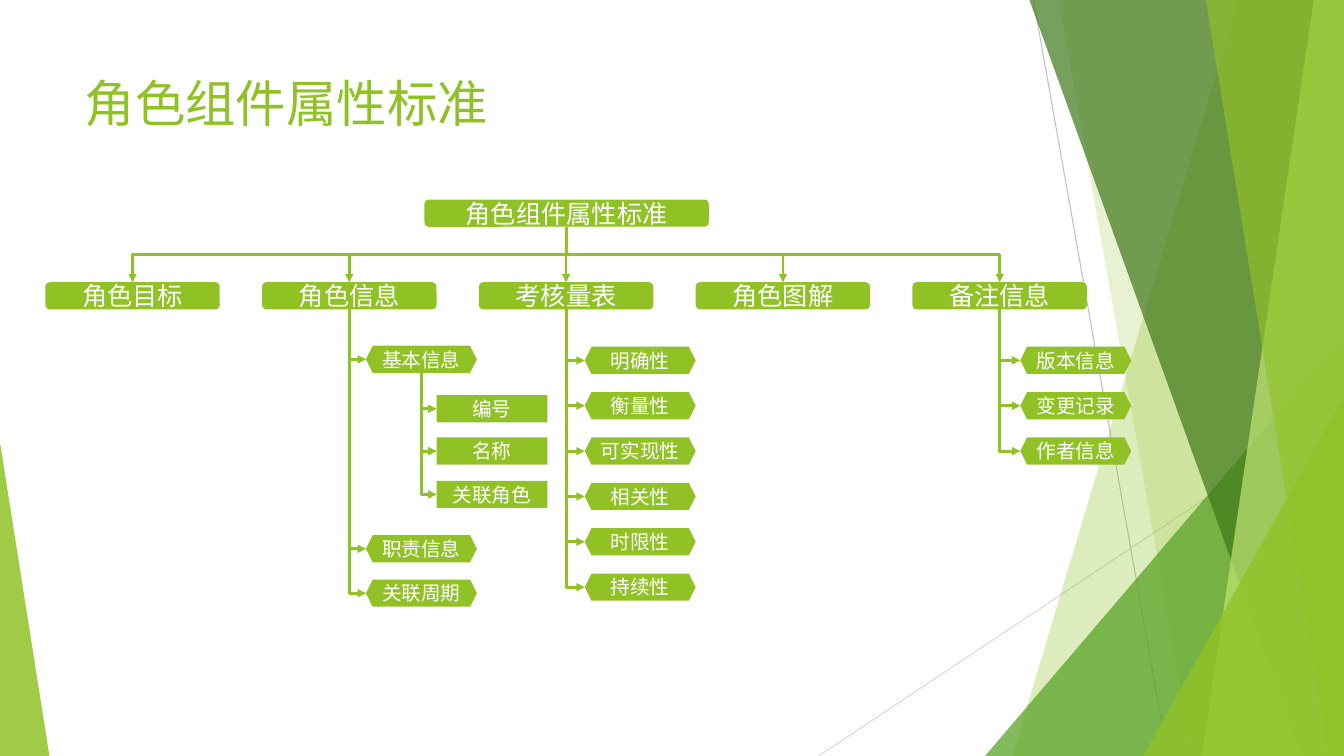
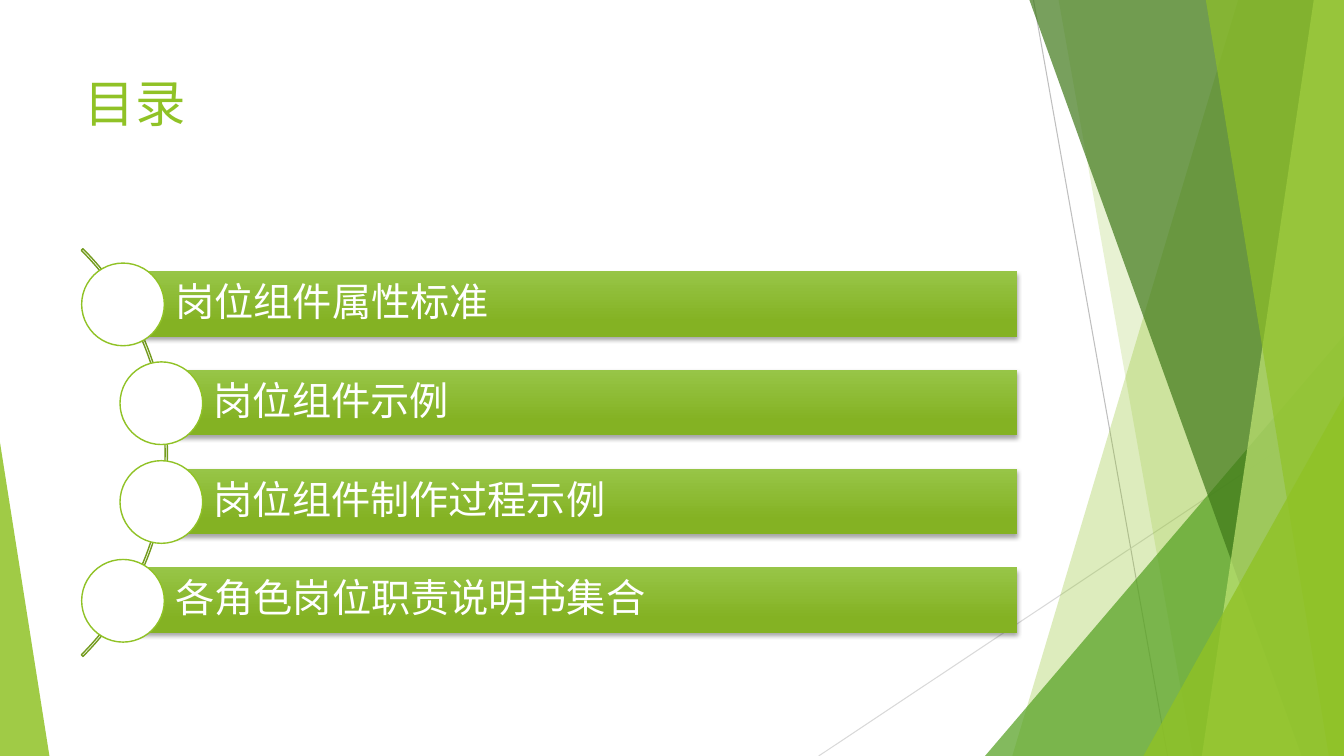
from dataclasses import dataclass

from lxml.etree import SubElement
from pptx import Presentation
from pptx.dml.color import RGBColor
from pptx.enum.shapes import MSO_CONNECTOR, MSO_SHAPE
from pptx.enum.text import MSO_ANCHOR, PP_ALIGN
from pptx.oxml.ns import qn
from pptx.util import Inches, Pt


@dataclass(frozen=True)
class Theme:
    font: str = "Karla"
    lime: str = "90C226"
    leaf: str = "54A021"
    pine: str = "3F7819"
    pale: str = "C0E474"
    olive: str = "739B1E"
    light: str = "97C547"
    deep: str = "84B223"
    white: str = "FFFFFF"
    black: str = "000000"
    grey: str = "BFBFBF"
    mist: str = "D9D9D9"
    title: int = 36
    entry: int = 28
    head: int = 18
    label: int = 14


THEME = Theme()
WIDE, HIGH = 13.33, 7.5
TITLE_ONLY = 5


def rgb(code):
    return RGBColor.from_string(code)


class Deck:
    """Holds the theme, the presentation and the slide being drawn."""

    def __init__(self, theme):
        self.theme = theme
        self.file = Presentation()
        self.file.slide_width = Inches(WIDE)
        self.file.slide_height = Inches(HIGH)
        self.layout = self.file.slide_layouts[TITLE_ONLY]
        self.slide = None
        self.master()

    def master(self):
        title = self.layout.placeholders[0]
        title.left, title.top = Inches(0.74), Inches(0.67)
        title.width, title.height = Inches(9.4), Inches(1.44)

    def page(self, title):
        first = self.slide is None
        self.slide = self.file.slides.add_slide(self.layout)
        if first:
            self.decor()
        frame = self.slide.shapes.title.text_frame
        frame.vertical_anchor = MSO_ANCHOR.TOP
        self.label(frame, title, self.theme.title, self.theme.lime, PP_ALIGN.LEFT)

    def decor(self):
        """Draw the facets, then move them to the layout that all slides share."""
        t = self.theme
        self.line((10.25, 0), (11.58, HIGH), t.grey)
        self.line((WIDE, 4.03), (8.12, HIGH), t.mist)
        self.facet(12.28, 10.04, t.lime, 30)
        self.facet(10.5, 11.83, t.lime, 20)
        self.wedge(9.77, 3.33, 3.56, 1, t.leaf, 72)
        self.facet(10.21, 12.91, t.pine, 70)
        self.facet(13.03, 11.92, t.pale, 70)
        self.facet(11.96, 13.18, t.lime, 65)
        self.wedge(11.34, 3.93, 1.99, 1, t.lime, 80)
        self.wedge(0, 4.39, 0.49, 0, t.lime, 85)
        tree = self.layout.shapes.element
        parts = [s for s in self.slide.shapes if not s.is_placeholder]
        for n, part in enumerate(parts):
            next(part.element.iter(qn("p:cNvPr"))).set("id", str(100 + n))
            tree.insert(2 + n, part.element)

    def facet(self, top, foot, color, alpha):
        """Fill the area between a slanted edge and the right slide edge."""
        build = self.slide.shapes.build_freeform(Inches(top), 0)
        ends = [(WIDE, 0), (WIDE, HIGH), (foot, HIGH)]
        build.add_line_segments([(Inches(x), Inches(y)) for x, y in ends])
        self.paint(build.convert_to_shape(), color, alpha=alpha)

    def wedge(self, x, y, width, peak, color, alpha):
        """Draw a triangle that stands on the lower slide edge."""
        shape = self.shape(MSO_SHAPE.ISOSCELES_TRIANGLE, (x, y, width, HIGH - y))
        shape.adjustments[0] = peak
        self.paint(shape, color, alpha=alpha)

    def shape(self, kind, box):
        return self.slide.shapes.add_shape(kind, *map(Inches, box))

    def paint(self, shape, fill=None, line=None, alpha=None):
        shape.shadow.inherit = False
        if fill:
            shape.fill.solid()
            shape.fill.fore_color.rgb = rgb(fill)
        else:
            shape.fill.background()
        if alpha:
            color = shape.element.spPr.find(f".//{qn('a:srgbClr')}")
            SubElement(color, qn("a:alpha")).set("val", str(alpha * 1000))
        if line:
            shape.line.color.rgb = rgb(line)
            shape.line.width = Pt(1)
        else:
            shape.line.fill.background()

    def label(self, frame, text, size, color, align):
        frame.word_wrap = True
        par = frame.paragraphs[0]
        par.alignment = align
        run = par.add_run()
        run.text = text
        run.font.name = self.theme.font
        run.font.size = Pt(size)
        run.font.color.rgb = rgb(color)
        return par

    def inset(self, frame, left, rest):
        frame.margin_left = Inches(left)
        frame.margin_right = frame.margin_top = frame.margin_bottom = Inches(rest)
        frame.vertical_anchor = MSO_ANCHOR.MIDDLE

    def line(self, start, end, color, width=0.75, kind=MSO_CONNECTOR.STRAIGHT):
        link = self.slide.shapes.add_connector(kind, *map(Inches, start + end))
        link.line.color.rgb = rgb(color)
        link.line.width = Pt(width)
        SubElement(link.element.spPr, qn("a:effectLst"))
        return link

    def node(self, kind, box, text, size):
        shape = self.shape(kind, box)
        self.paint(shape, self.theme.lime)
        self.inset(shape.text_frame, 0, 0)
        self.label(shape.text_frame, text, size, self.theme.white, PP_ALIGN.CENTER)

    def elbow(self, start, end, preset):
        """Draw a bent arrow that leaves its start downwards."""
        (x1, y1), (x2, y2) = start, end
        wide, high = abs(x2 - x1), y2 - y1
        left, top = (x1 + x2 - high) / 2, (y1 + y2 - wide) / 2
        link = self.line((left, top), (left + high, top + wide),
                         self.theme.lime, 2, MSO_CONNECTOR.ELBOW)
        props = link.element.spPr
        props.find(qn("a:prstGeom")).set("prst", preset)
        frame = props.find(qn("a:xfrm"))
        if x2 < x1:
            frame.set("rot", "5400000")
        else:
            frame.set("rot", "16200000")
            frame.set("flipH", "1")
        SubElement(props.find(qn("a:ln")), qn("a:tailEnd")).set("type", "triangle")

    def branch(self, kind, stem, x, rows):
        """Hang labelled nodes on a stem; rows pair a top edge with a text."""
        for y, text in rows:
            self.elbow(stem, (x, y + NODE_H / 2), "bentConnector2")
            self.node(kind, (x, y, LEAF_W, NODE_H), text, self.theme.label)

    def arc(self, box):
        shape = self.shape(MSO_SHAPE.BLOCK_ARC, box)
        for n, value in enumerate((189, 27, 0.004)):
            shape.adjustments[n] = value
        self.paint(shape, line=self.theme.olive)

    def bar(self, box, text):
        t = self.theme
        shape = self.shape(MSO_SHAPE.RECTANGLE, box)
        self.paint(shape, t.lime)
        shape.fill.gradient()
        shape.fill.gradient_angle = 270
        for stop, place, color in zip(shape.fill.gradient_stops, (0, 0.78),
                                      (t.light, t.deep)):
            stop.position = place
            stop.color.rgb = rgb(color)
        glow = SubElement(shape.element.spPr.find(qn("a:effectLst")),
                          qn("a:outerShdw"), blurRad=str(Pt(3)),
                          dist=str(Pt(2)), dir="5400000", rotWithShape="0")
        shade = SubElement(glow, qn("a:srgbClr"), val=t.black)
        SubElement(shade, qn("a:alpha"), val="35000")
        self.inset(shape.text_frame, 0.52, 0.08)
        par = self.label(shape.text_frame, text, t.entry, t.white, PP_ALIGN.LEFT)
        par.line_spacing = 0.9

    def dot(self, box):
        self.paint(self.shape(MSO_SHAPE.OVAL, box), self.theme.white, self.theme.lime)


NODE_H, LEAF_W, HEAD_W = 0.27, 1.1, 1.73
ROOT_Y, HEAD_Y = 1.98, 2.8
LEAF_Y, LEAF_GAP = 3.44, 0.45


def chart(deck):
    deck.page("角色组件属性标准")
    heads = ["角色目标", "角色信息", "考核量表", "角色图解", "备注信息"]
    lefts = [0.45 + 2.15 * n for n in range(len(heads))]
    stems = [(x + HEAD_W / 2, HEAD_Y + NODE_H) for x in lefts]
    root = (stems[2][0], ROOT_Y + NODE_H)
    deck.node(MSO_SHAPE.ROUNDED_RECTANGLE, (4.21, ROOT_Y, 2.82, NODE_H),
              "角色组件属性标准", deck.theme.head)
    for x, stem, text in zip(lefts, stems, heads):
        deck.elbow(root, (stem[0], HEAD_Y), "bentConnector3")
        deck.node(MSO_SHAPE.ROUNDED_RECTANGLE, (x, HEAD_Y, HEAD_W, NODE_H),
                  text, deck.theme.head)

    info = [(3.43, "基本信息"), (5.31, "职责信息"), (5.75, "关联周期")]
    deck.branch(MSO_SHAPE.HEXAGON, stems[1], 3.63, info)
    basic = [(3.92, "编号"), (4.34, "名称"), (4.77, "关联角色")]
    deck.branch(MSO_SHAPE.RECTANGLE, (4.18, 3.43 + NODE_H), 4.33, basic)

    scale = ["明确性", "衡量性", "可实现性", "相关性", "时限性", "持续性"]
    notes = ["版本信息", "变更记录", "作者信息"]
    for stem, x, texts in ((stems[2], 5.8, scale), (stems[4], 10.12, notes)):
        rows = [(LEAF_Y + LEAF_GAP * n, text) for n, text in enumerate(texts)]
        deck.branch(MSO_SHAPE.HEXAGON, stem, x, rows)


def agenda(deck):
    deck.page("目录")
    deck.arc((-4.06, 1.63, 5.72, 5.72))
    entries = [(1.22, "岗位组件属性标准"), (1.6, "岗位组件示例"),
               (1.6, "岗位组件制作过程示例"), (1.22, "各角色岗位职责说明书集合")]
    right, size = 10.09, 0.82
    for n, (x, text) in enumerate(entries):
        y = 2.69 + 0.98 * n
        deck.bar((x, y, right - x, 0.65), text)
        deck.dot((x - size / 2, y - 0.08, size, size))


def main():
    deck = Deck(THEME)
    chart(deck)
    agenda(deck)
    deck.file.save("out.pptx")


if __name__ == "__main__":
    main()
